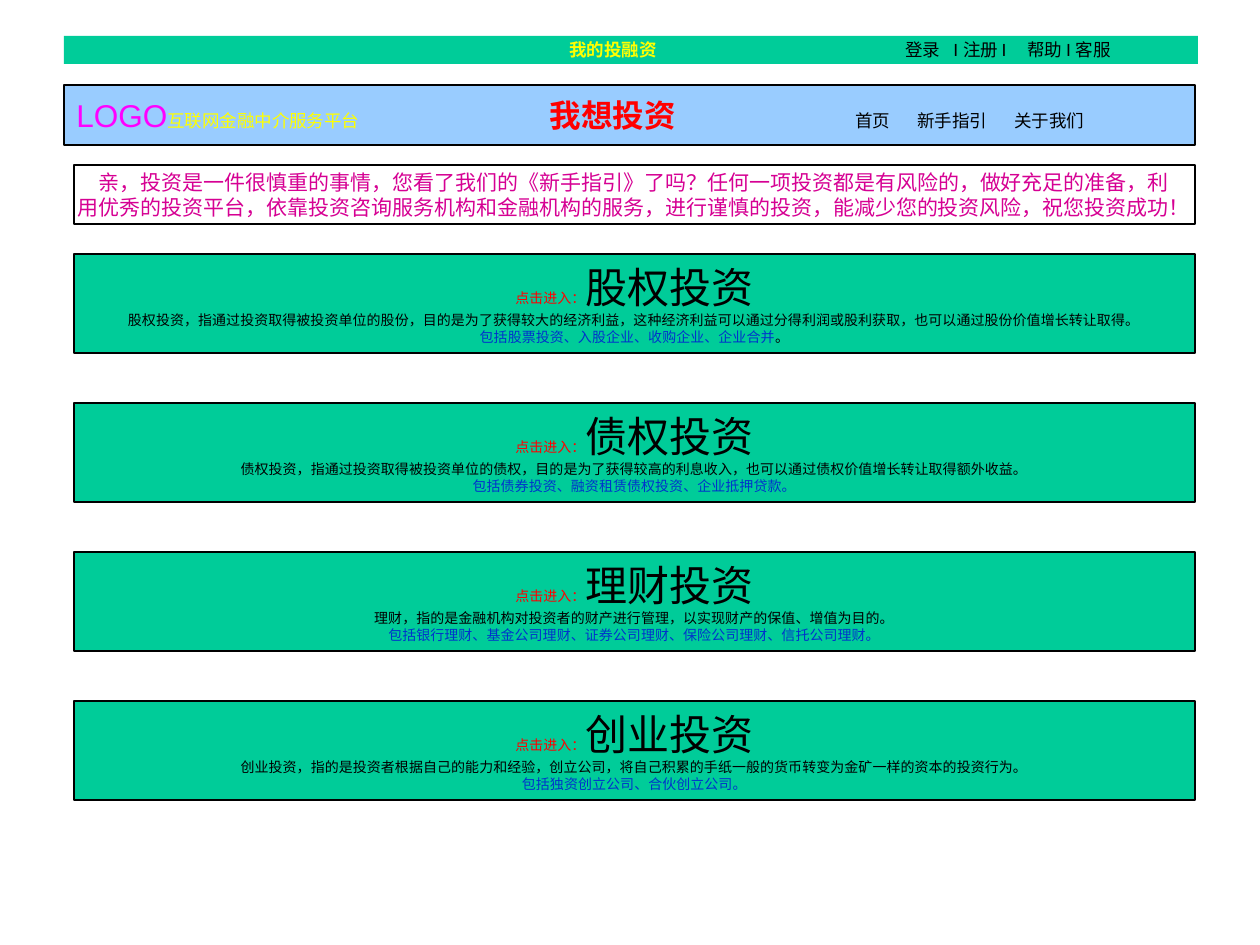
from lxml import etree
from pptx import Presentation
from pptx import util as u
from pptx.dml.color import RGBColor
from pptx.enum import shapes, text
from pptx.oxml import ns

PX = 914400 / 126
GREEN = RGBColor(0x00, 0xCC, 0x99)
SKY = RGBColor(0x99, 0xCC, 0xFF)
BLACK = RGBColor(0x00, 0x00, 0x00)
YELLOW = RGBColor(0xFF, 0xFF, 0x00)
MAGENTA = RGBColor(0xFF, 0x00, 0xFF)
RED = RGBColor(0xFF, 0x00, 0x00)
BLUE = RGBColor(0x00, 0x33, 0xCC)
PINK = RGBColor(0xD6, 0x00, 0x93)
SANS = "Arial"
SERIF = "Times New Roman"

CARDS = [
    ("股权投资",
     "股权投资，指通过投资取得被投资单位的股份，目的是为了获得较大的经济利益，"
     "这种经济利益可以通过分得利润或股利获取，也可以通过股份价值增长转让取得。",
     "包括股票投资、入股企业、收购企业、企业合并", "。"),
    ("债权投资",
     "债权投资，指通过投资取得被投资单位的债权，目的是为了获得较高的利息收入，"
     "也可以通过债权价值增长转让取得额外收益。",
     "包括债券投资、融资租赁债权投资、企业抵押贷款。", ""),
    ("理财投资",
     "理财，指的是金融机构对投资者的财产进行管理，以实现财产的保值、增值为目的。",
     "包括银行理财、基金公司理财、证券公司理财、保险公司理财、信托公司理财。", ""),
    ("创业投资",
     "创业投资，指的是投资者根据自己的能力和经验，创立公司，"
     "将自己积累的手纸一般的货币转变为金矿一样的资本的投资行为。",
     "包括独资创立公司、合伙创立公司。", ""),
]


def px(length):
    return u.Emu(round(length * PX))


def add_panel(page, x, y, width, height, fill=None, outlined=True, wrap=False):
    panel = page.shapes.add_shape(
        shapes.MSO_SHAPE.RECTANGLE, px(x), px(y), px(width), px(height))
    panel.shadow.inherit = False
    if fill is None:
        panel.fill.background()
    else:
        panel.fill.solid()
        panel.fill.fore_color.rgb = fill
    if outlined:
        panel.line.color.rgb = BLACK
        panel.line.width = u.Pt(0.75)
    else:
        panel.line.fill.background()
    panel.text_frame.word_wrap = wrap
    panel.text_frame.vertical_anchor = text.MSO_ANCHOR.MIDDLE
    return panel


def add_span(para, words, size, color, font=SANS, bold=False):
    span = para.add_run()
    span.text = words
    span.font.size = u.Pt(size)
    span.font.name = font
    span.font.bold = bold
    span.font.color.rgb = color


def set_tabs(para, stops):
    para.alignment = text.PP_ALIGN.LEFT
    properties = para._p.get_or_add_pPr()
    tabs = etree.SubElement(properties, ns.qn("a:tabLst"))
    for stop in stops:
        etree.SubElement(tabs, ns.qn("a:tab"), pos=str(px(stop)), algn="l")


def add_account_bar(page, x, y, width, height):
    bar = add_panel(page, x, y, width, height, GREEN, outlined=False, wrap=True)
    para = bar.text_frame.paragraphs[0]
    set_tabs(para, (493, 829, 877, 951))
    add_span(para, "\t我的投融资", 10, YELLOW, bold=True)
    add_span(para, "\t登录\tI 注册 I\t帮助 I 客服", 10, BLACK)


def add_header(page, x, y, width, height):
    band = add_panel(page, x, y, width, height, SKY, wrap=True)
    para = band.text_frame.paragraphs[0]
    set_tabs(para, (779, 841, 938))
    add_span(para, "LOGO", 18, MAGENTA)
    add_span(para, "互联网金融中介服务平台", 10, YELLOW)
    add_span(para, "\t首页\t新手指引\t关于我们", 10, BLACK)

    title = page.shapes.title
    title.left, title.top = px(x + 469), px(y)
    title.width, title.height = px(160), px(height)
    frame = title.text_frame
    frame.margin_left = frame.margin_right = 0
    frame.auto_size = text.MSO_AUTO_SIZE.NONE
    frame.word_wrap = False
    frame.vertical_anchor = text.MSO_ANCHOR.MIDDLE
    frame.paragraphs[0].alignment = text.PP_ALIGN.CENTER
    add_span(frame.paragraphs[0], "我想投资", 18, RED, bold=True)
    band.element.addnext(title.element)


def add_centred_lines(panel, lines):
    frame = panel.text_frame
    for index, spans in enumerate(lines):
        para = frame.add_paragraph() if index else frame.paragraphs[0]
        para.alignment = text.PP_ALIGN.CENTER
        for words, size, color in spans:
            add_span(para, words, size, color, font=SERIF)


def add_notice(page, x, y, width, height):
    notice = add_panel(page, x, y, width, height)
    add_centred_lines(notice, [
        [("亲，投资是一件很慎重的事情，您看了我们的《新手指引》了吗？"
          "任何一项投资都是有风险的，做好充足的准备，利", 12, PINK)],
        [("用优秀的投资平台，依靠投资咨询服务机构和金融机构的服务，"
          "进行谨慎的投资，能减少您的投资风险，祝您投资成功！", 12, PINK)],
    ])


def add_card(page, x, y, width, height, name, summary, scope, ending):
    card = add_panel(page, x, y, width, height, GREEN)
    scope_line = [(scope, 8, BLUE)]
    if ending:
        scope_line.append((ending, 8, BLACK))
    add_centred_lines(card, [
        [("点击进入：", 8, RED), (name, 24, BLACK)],
        [(summary, 8, BLACK)],
        scope_line,
    ])


def main():
    deck = Presentation()
    deck.slide_width, deck.slide_height = px(1260), px(945)
    page = deck.slides.add_slide(deck.slide_layouts[5])
    add_account_bar(page, 64, 36, 1134, 28)
    add_header(page, 64, 85, 1131, 60)
    add_notice(page, 74, 165, 1121, 59)
    for index, card in enumerate(CARDS):
        add_card(page, 74, 254 + 149 * index, 1121, 99, *card)
    deck.save("out.pptx")


if __name__ == "__main__":
    main()
